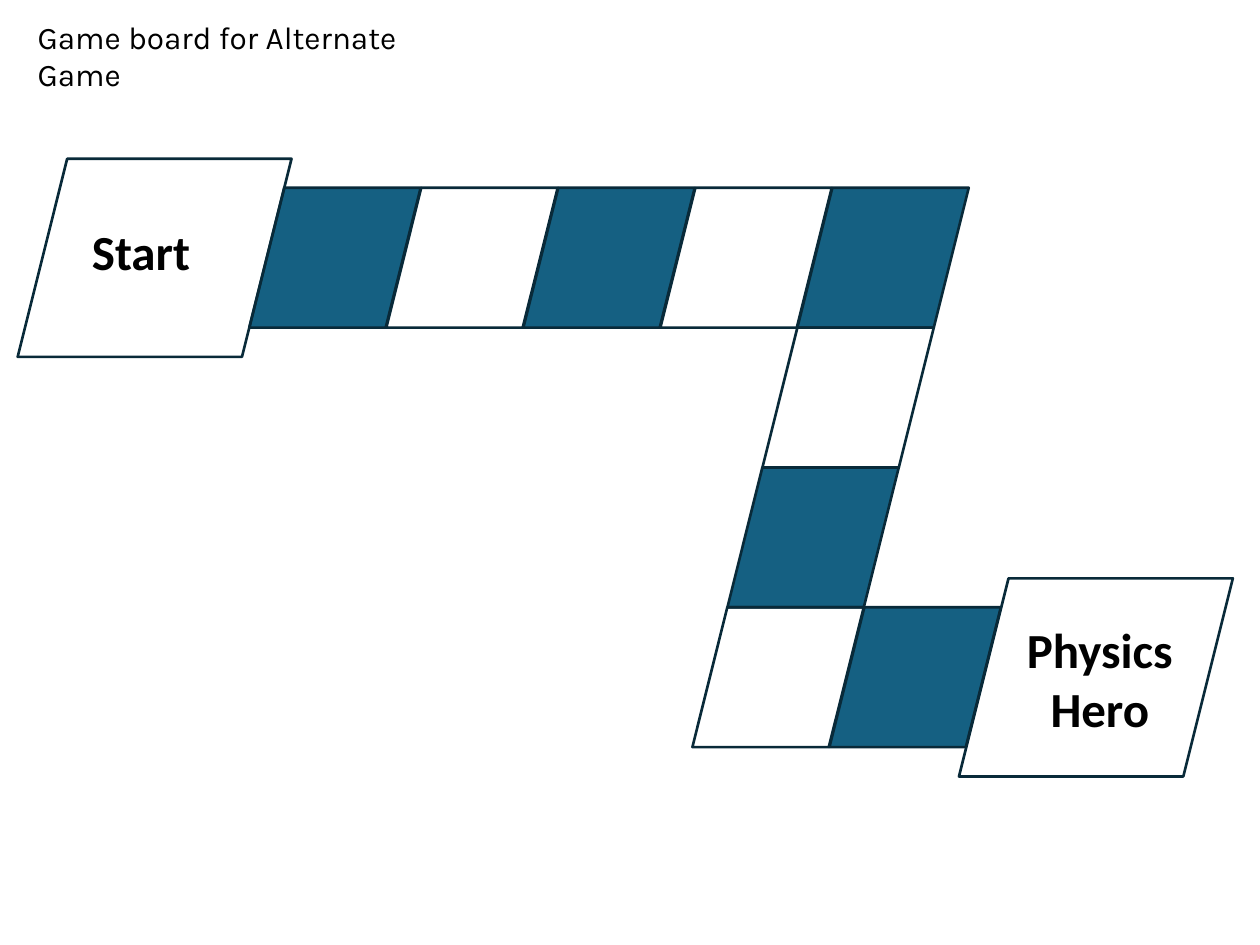
"""Build a slide with a slanted game board running from Start to Physics Hero."""
from pptx import Presentation
from pptx.dml.color import RGBColor
from pptx.enum.shapes import MSO_SHAPE
from pptx.enum.text import MSO_AUTO_SIZE, PP_ALIGN
from pptx.util import Pt

PARALLELOGRAM = MSO_SHAPE.PARALLELOGRAM
FIT_SHAPE = MSO_AUTO_SIZE.SHAPE_TO_FIT_TEXT
LEFT, CENTER = PP_ALIGN.LEFT, PP_ALIGN.CENTER
COLORS = {"tile": "156082", "line": "092A39", "text": "000000"}

prs = Presentation()
prs.slide_width, prs.slide_height = Pt(720), Pt(540)
s = prs.slides.add_slide(prs.slide_layouts[6])


def add_tile(x, y, w, h, filled=False):
    sp = s.shapes.add_shape(PARALLELOGRAM, Pt(x), Pt(y), Pt(w), Pt(h))
    sp.shadow.inherit = False
    if filled:
        sp.fill.solid()
        sp.fill.fore_color.rgb = RGBColor.from_string(COLORS["tile"])
    else:
        sp.fill.background()
    sp.line.color.rgb = RGBColor.from_string(COLORS["line"])
    sp.line.width = Pt(1.5)


def add_label(text, x, y, w, h, size, font, bold=False, align=LEFT):
    tf = s.shapes.add_textbox(Pt(x), Pt(y), Pt(w), Pt(h)).text_frame
    tf.word_wrap = True
    tf.auto_size = FIT_SHAPE
    p = tf.paragraphs[0]
    p.text = text
    p.alignment = align
    p.font.name = font
    p.font.size = Pt(size)
    p.font.bold = bold
    p.font.color.rgb = RGBColor.from_string(COLORS["text"])


col_step, row_step, slant = 78.3, 79.9, 20
track = [(0, 0), (1, 0), (2, 0), (3, 0), (4, 0), (4, 1), (4, 2), (4, 3), (5, 3)]
for i, (col, row) in enumerate(track):
    x = 142.5 + col * col_step - row * slant
    y = 107.3 + row * row_step
    add_tile(x, y, 97.9, row_step, filled=i % 2 == 0)

for x, y in [(10.1, 90.7), (548, 330.5)]:
    add_tile(x, y, 156.5, 113.2)

add_label("Game board for Alternate Game", 14.4, 6.5, 267, 29, 18, "Karla")
add_label("Start", 45.4, 123.1, 85, 41, 28, "Calibri", bold=True)
add_label("Physics Hero", 576, 350.6, 105, 75, 28, "Calibri", bold=True, align=CENTER)

prs.save("out.pptx")
